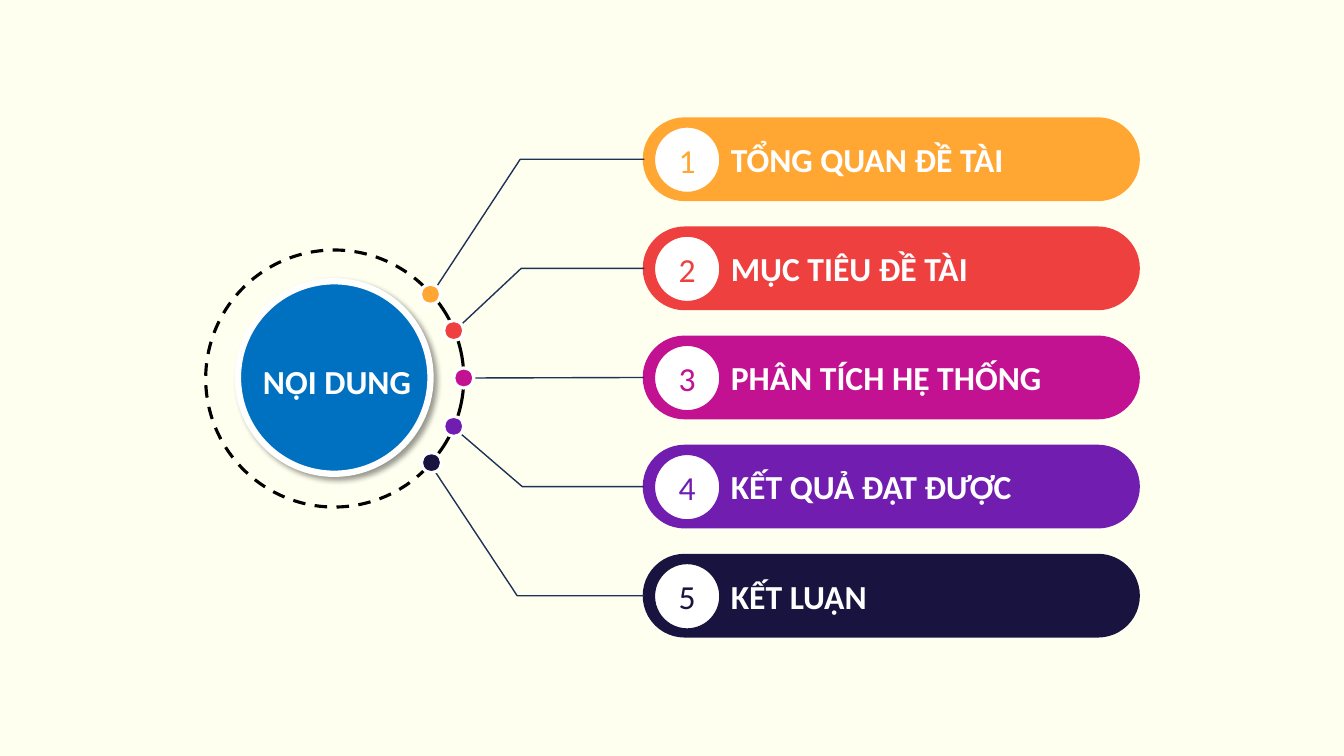
from lxml.etree import SubElement
from pptx import Presentation
from pptx.dml.color import RGBColor
from pptx.enum.dml import MSO_LINE
from pptx.enum.shapes import MSO_CONNECTOR, MSO_SHAPE
from pptx.enum.text import MSO_ANCHOR, MSO_AUTO_SIZE, PP_ALIGN
from pptx.oxml import parse_xml
from pptx.oxml.ns import nsdecls, qn
from pptx.util import Inches, Pt

TITLE = "NỘI DUNG"
# label, colour, dot (left, top), line start, bend x, text width
ITEMS = [
    ("TỔNG QUAN ĐỀ TÀI", "amber", (4.17, 2.82), (4.32, 2.86), 5.16, 3.23),
    ("MỤC TIÊU ĐỀ TÀI", "red", (4.4, 3.18), (4.5, 3.29), 5.17, 3.23),
    ("PHÂN TÍCH HỆ THỐNG", "pink", (4.5, 3.65), (4.63, 3.75), None, 3.46),
    ("KẾT QUẢ ĐẠT ĐƯỢC", "violet", (4.4, 4.13), (4.52, 4.26), 5.18, 3.23),
    ("KẾT LUẬN", "navy", (4.18, 4.49), (4.29, 4.64), 5.13, 3.23),
]
ARCS = [
    (2.04, 2.48, 2.55, 224, (162, 107.75), MSO_LINE.DASH),
    (2.12, 2.51, 2.48, 132.5, (53.5, 107.56), None),
]
HEX = {
    "amber": "FFA732", "red": "EF4040", "pink": "C21292", "violet": "711DB0",
    "navy": "191340", "blue": "0070C0", "line": "1E3256", "white": "FFFFFF",
    "black": "000000", "cream": "FFFFF0",
}
FONT = "Calibri"
LEFT, TOP, WIDE, HIGH = 6.39, 1.18, 4.9, 0.8
STEP = (5.51 - TOP) / (len(ITEMS) - 1)


def rgb(name):
    return RGBColor.from_string(HEX[name])


def stroke(shape, name, width):
    shape.line.color.rgb = rgb(name)
    shape.line.width = Pt(width)


def add(kind, x, y, w, h, fill, edge, width):
    shape = slide.shapes.add_shape(kind, Inches(x), Inches(y), Inches(w), Inches(h))
    shape.shadow.inherit = False
    if fill:
        shape.fill.solid()
        shape.fill.fore_color.rgb = rgb(fill)
    else:
        shape.fill.background()
    stroke(shape, edge, width)
    return shape


def write(para, text, name, bold):
    run = para.add_run()
    run.text = text
    run.font.name = FONT
    run.font.size = Pt(24)
    run.font.bold = bold
    run.font.color.rgb = rgb(name)
    return run


def label(text, x, y, w):
    box = slide.shapes.add_textbox(Inches(x), Inches(y), Inches(w), Inches(0.5))
    frame = box.text_frame
    frame.word_wrap = True
    frame.auto_size = MSO_AUTO_SIZE.SHAPE_TO_FIT_TEXT
    write(frame.paragraphs[0], text, "white", True)


def badge(num, x, y, name):
    shape = add(MSO_SHAPE.OVAL, x, y, 0.65, 0.65, "white", name, 1)
    frame = shape.text_frame
    frame.vertical_anchor = MSO_ANCHOR.MIDDLE
    para = frame.paragraphs[0]
    para.alignment = PP_ALIGN.CENTER
    run = write(para, str(num), name, False)
    run.font._element.insert(0, parse_xml(
        f'<a:ln {nsdecls("a")} w="9525"><a:solidFill>'
        f'<a:srgbClr val="{HEX[name]}"/></a:solidFill></a:ln>'))


def link(start, bend, mid, pill):
    if bend is None:
        line = slide.shapes.add_connector(
            MSO_CONNECTOR.STRAIGHT, Inches(start[0]), Inches(start[1]),
            Inches(LEFT), Inches(mid))
        line.end_connect(pill, 1)
        SubElement(line._element.spPr, qn("a:effectLst"))
    else:
        path = slide.shapes.build_freeform(
            Inches(start[0]), Inches(start[1]), scale=1.0)
        path.add_line_segments(
            [(Inches(bend), Inches(mid)), (Inches(LEFT), Inches(mid))], close=False)
        line = path.convert_to_shape()
        line.fill.background()
        line.shadow.inherit = False
    stroke(line, "line", 1)


deck = Presentation()
deck.slide_width, deck.slide_height = Inches(13.33), Inches(7.5)
slide = deck.slides.add_slide(deck.slide_layouts[6])
slide.background.fill.solid()
slide.background.fill.fore_color.rgb = rgb("cream")

for i, (text, name, dot, start, bend, width) in enumerate(ITEMS):
    y = TOP + i * STEP
    pill = add(MSO_SHAPE.ROUNDED_RECTANGLE, LEFT, y, WIDE, HIGH, name, name, 2.25)
    pill.adjustments[0] = 0.5
    link(start, bend, y + HIGH / 2, pill)
    badge(i + 1, LEFT + 0.1, y + 0.08, name)
    label(text, 7.15, y + 0.15, width)

hub = add(MSO_SHAPE.OVAL, 2.36, 2.79, 1.91, 1.91, "blue", "white", 4.5)
glow = SubElement(
    hub._element.spPr.find(qn("a:effectLst")), qn("a:outerShdw"),
    blurRad=str(Pt(4)), dist=str(Pt(3)), dir="2700000", algn="tl", rotWithShape="0")
shade = SubElement(glow, qn("a:srgbClr"), val=HEX["black"])
SubElement(shade, qn("a:alpha"), val="40000")

for x, y, size, turn, ends, dash in ARCS:
    arc = add(MSO_SHAPE.ARC, x, y, size, size, None, "black", 2.25)
    arc.adjustments[0], arc.adjustments[1] = ends
    arc.rotation = turn
    arc._element.spPr.find(qn("a:xfrm")).set("flipV", "1")
    if dash:
        arc.line.dash_style = dash

for text, name, (x, y), *rest in ITEMS:
    add(MSO_SHAPE.OVAL, x, y, 0.2, 0.2, name, "white", 2.25)

label(TITLE, 2.51, 3.53, 1.71)
deck.save("out.pptx")
